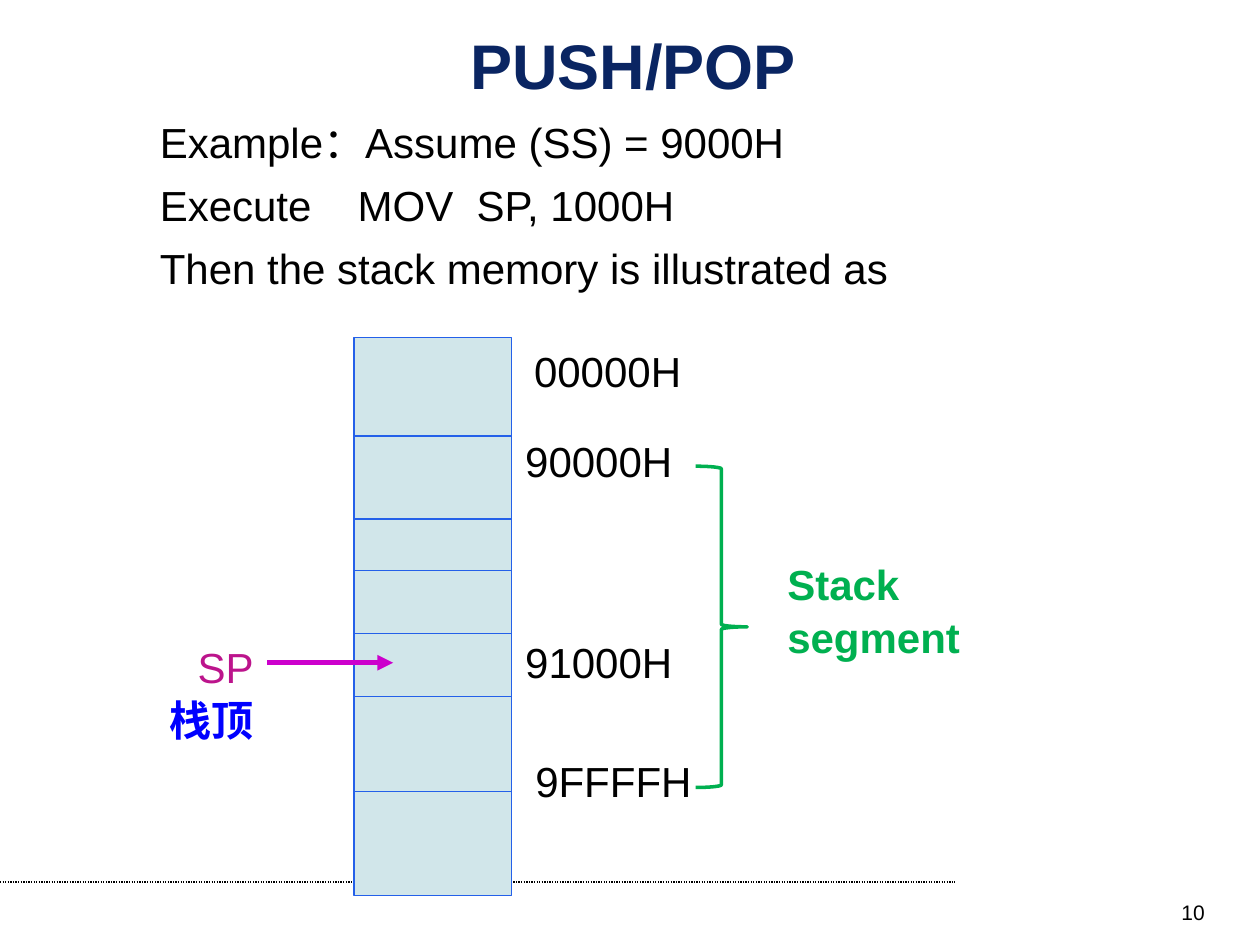
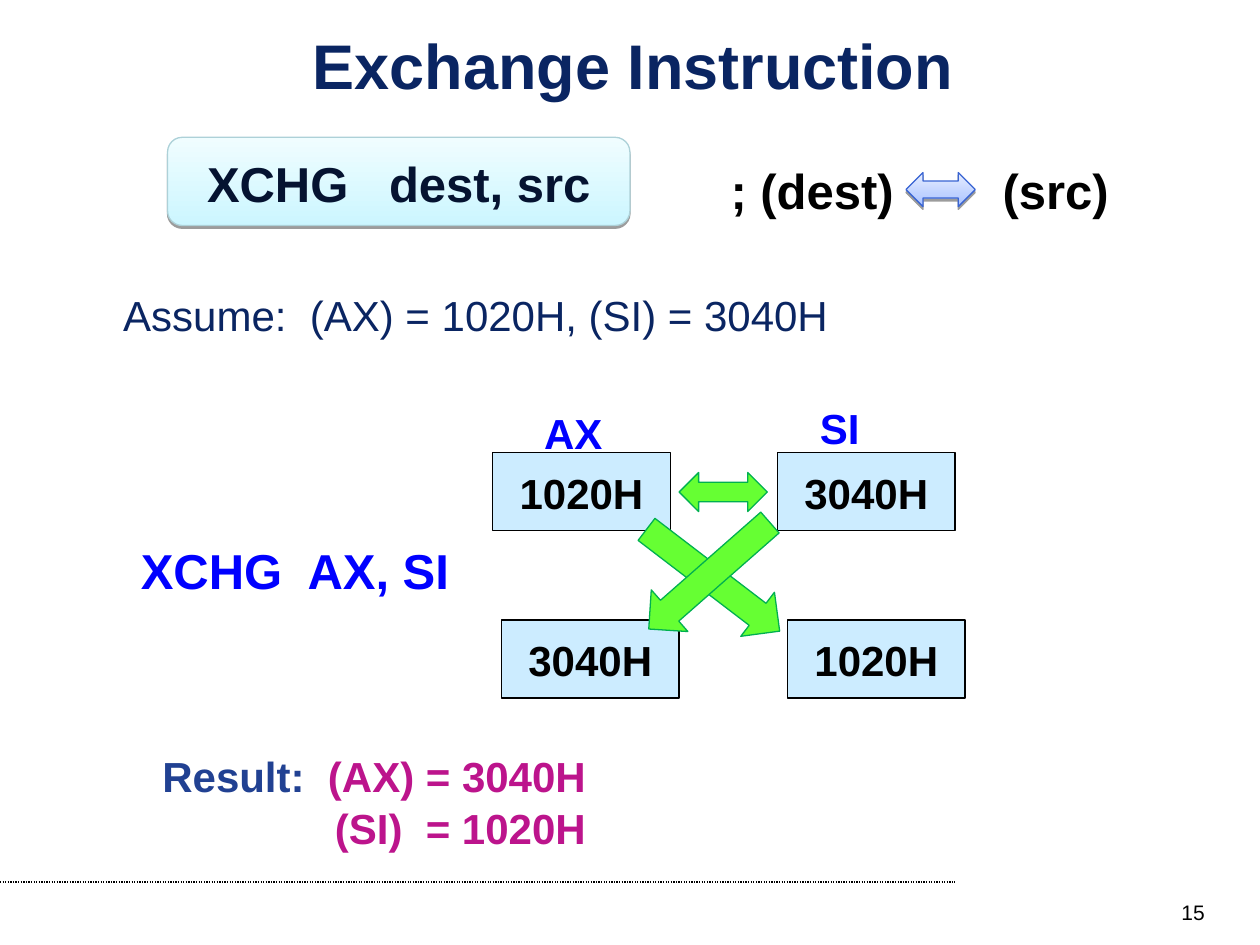
from lxml.etree import SubElement
from pptx import Presentation
from pptx.dml.color import RGBColor
from pptx.enum.dml import MSO_LINE
from pptx.enum.shapes import MSO_CONNECTOR, MSO_SHAPE
from pptx.enum.text import MSO_ANCHOR, PP_ALIGN
from pptx.oxml.ns import qn
from pptx.util import Inches, Pt

BLACK = RGBColor(0x00, 0x00, 0x00)
NAVY = RGBColor(0x0A, 0x25, 0x62)
DEEP_NAVY = RGBColor(0x05, 0x13, 0x31)
ROYAL = RGBColor(0x21, 0x41, 0x92)
BLUE = RGBColor(0x00, 0x00, 0xFF)
MAGENTA = RGBColor(0xBC, 0x14, 0x8C)
POINTER = RGBColor(0xCC, 0x00, 0xCC)
GREEN = RGBColor(0x00, 0xB0, 0x50)
LIME = RGBColor(0x66, 0xFF, 0x33)
MEMORY_FILL = RGBColor(0xD1, 0xE6, 0xEA)
MEMORY_LINE = RGBColor(0x24, 0x60, 0xE9)
REGISTER_FILL = RGBColor(0xCC, 0xEC, 0xFF)
SYNTAX_LINE = RGBColor(0xAD, 0xD1, 0xD8)
SYNTAX_GRADIENT = (RGBColor(0xCC, 0xF6, 0xFF), RGBColor(0xF0, 0xFD, 0xFF))
SWAP_LINE = RGBColor(0x3A, 0x65, 0xD3)
SWAP_GRADIENT = (RGBColor(0xA9, 0xC2, 0xFF), RGBColor(0xE6, 0xED, 0xFF))

BODY = {"name": "Arial", "size": Pt(24), "bold": False}
STRONG = {**BODY, "bold": True}
LARGE = {**STRONG, "size": Pt(28)}
TITLE = {**STRONG, "size": Pt(36)}
PAGE = {**BODY, "size": Pt(12)}

MEMORY = (2.81, 2.68, 1.25, 4.43)
DIVIDERS = [3.46, 4.12, 4.53, 5.03, 5.53, 6.28]
ADDRESSES = [
    ("00000H", 4.14, 2.68),
    ("90000H", 4.07, 3.39),
    ("91000H", 4.07, 4.99),
    ("9FFFFH", 4.15, 5.93),
]
EXAMPLE = [
    [("Example：Assume (SS) = 9000H", BLACK, BODY)],
    [("Execute\tMOV  SP, 1000H", BLACK, BODY)],
    [("Then the stack memory is illustrated as", BLACK, BODY)],
]
STACK_TOP = [[("SP", MAGENTA, BODY)], [("栈顶", BLUE, STRONG)]]
STACK_SEGMENT = [[("Stack", GREEN, STRONG)], [("segment", GREEN, STRONG)]]

REGISTERS = [
    ("1020H", 3.91, 3.59),
    ("1020H", 6.25, 4.92),
    ("3040H", 6.17, 3.59),
    ("3040H", 3.98, 4.92),
]
EXCHANGE_LABELS = [
    ("Assume:  (AX) = 1020H, (SI) = 3040H", (0.88, 2.23, 6.93, 0.5), NAVY, BODY),
    ("AX", (4.22, 3.17, 0.86, 0.5), BLUE, STRONG),
    ("XCHG  AX, SI", (1.02, 4.22, 2.97, 0.57), BLUE, LARGE),
    ("SI", (6.41, 3.13, 0.86, 0.5), BLUE, STRONG),
]
EXCHANGE_ARROWS = [
    (MSO_SHAPE.LEFT_RIGHT_ARROW, (5.39, 3.75, 0.7, 0.31), 0),
    (MSO_SHAPE.DOWN_ARROW, (5.44, 3.94, 0.44, 1.33), 307.4),
    (MSO_SHAPE.DOWN_ARROW, (5.41, 3.93, 0.44, 1.28), 48.7),
]
RESULT = [
    [("Result:  ", ROYAL, STRONG), ("(AX) = 3040H", MAGENTA, STRONG)],
    [("(SI)  = 1020H", MAGENTA, STRONG)],
]


def inches(box):
    return [Inches(length) for length in box]


def apply(target, values):
    for key, value in values.items():
        setattr(target, key, value)


def write(frame, paragraphs, align=PP_ALIGN.LEFT, gap=0, tab=None):
    for index, runs in enumerate(paragraphs):
        paragraph = frame.paragraphs[0] if index == 0 else frame.add_paragraph()
        apply(paragraph, {"alignment": align, "line_spacing": 1.04,
                          "space_before": Pt(gap if index else 0)})
        if tab:
            stops = SubElement(paragraph._p.get_or_add_pPr(), qn("a:tabLst"))
            SubElement(stops, qn("a:tab"), pos=str(Inches(tab)), algn="l")
        for text, color, style in runs:
            run = paragraph.add_run()
            run.text = text
            apply(run.font, style)
            run.font.color.rgb = color


def add_text(slide, box, paragraphs, **layout):
    frame = slide.shapes.add_textbox(*inches(box)).text_frame
    frame.word_wrap = True
    write(frame, paragraphs, **layout)
    return frame


def add_figure(slide, kind, box, fill, outline, weight=0.75, turn=0):
    figure = slide.shapes.add_shape(kind, *inches(box))
    figure.shadow.inherit = False
    figure.rotation = turn
    if fill is None:
        figure.fill.background()
    elif isinstance(fill, RGBColor):
        figure.fill.solid()
        figure.fill.fore_color.rgb = fill
    else:
        figure.fill.gradient()
        figure.fill.gradient_angle = 90
        for stop, color in zip(figure.fill.gradient_stops, fill):
            stop.color.rgb = color
    figure.line.color.rgb = outline
    figure.line.width = Pt(weight)
    return figure


def caption(figure, text, color, style):
    apply(figure.text_frame, {"word_wrap": False, "vertical_anchor": MSO_ANCHOR.MIDDLE})
    write(figure.text_frame, [[(text, color, style)]], align=PP_ALIGN.CENTER)


def drop_shadow(figure):
    effects = figure._element.spPr.find(qn("a:effectLst"))
    shadow = SubElement(effects, qn("a:outerShdw"), blurRad="0", dist=str(Pt(1.6)),
                        dir="5400000", rotWithShape="0")
    tint = SubElement(shadow, qn("a:srgbClr"), val=str(BLACK))
    SubElement(tint, qn("a:alpha"), val="38000")


def add_line(slide, start, end, color, weight=0.75):
    line = slide.shapes.add_connector(MSO_CONNECTOR.STRAIGHT, *inches(start + end))
    SubElement(line._element.spPr, qn("a:effectLst"))
    line.line.color.rgb = color
    line.line.width = Pt(weight)
    return line


def add_slide(deck, title, number):
    slide = deck.slides.add_slide(deck.slide_layouts[5])
    footer_rule = add_line(slide, (0, 7), (7.58, 7), BLACK)
    footer_rule.line.dash_style = MSO_LINE.ROUND_DOT
    heading = slide.shapes.title
    apply(heading, dict(zip(("left", "top", "width", "height"), inches((0.5, 0.25, 9.05, 0.5)))))
    heading.text_frame.vertical_anchor = MSO_ANCHOR.MIDDLE
    write(heading.text_frame, [[(title, NAVY, TITLE)]], align=PP_ALIGN.CENTER)
    add_text(slide, (7.33, 7.08, 2.33, 0.27), [[(number, BLACK, PAGE)]], align=PP_ALIGN.RIGHT)
    return slide


def build_stack(deck):
    slide = add_slide(deck, "PUSH/POP", "10")
    add_text(slide, (1.17, 0.86, 6.87, 1.47), EXAMPLE, gap=6, tab=1.57)
    add_figure(slide, MSO_SHAPE.RECTANGLE, MEMORY, MEMORY_FILL, MEMORY_LINE)
    left, _, width, _ = MEMORY
    for level in DIVIDERS:
        add_line(slide, (left, level), (left + width, level), MEMORY_LINE)
    for address, x, y in ADDRESSES:
        add_text(slide, (x, y, 1.56, 0.5), [[(address, BLACK, BODY)]])
    pointer = add_line(slide, (2.12, 5.26), (3.12, 5.26), POINTER, 3)
    SubElement(pointer.line._get_or_add_ln(), qn("a:tailEnd"), type="triangle")
    add_text(slide, (1.09, 5.03, 1.02, 0.9), STACK_TOP, align=PP_ALIGN.RIGHT)
    brace = add_figure(slide, MSO_SHAPE.RIGHT_BRACE, (5.52, 3.7, 0.41, 2.55), None, GREEN, 2)
    brace.adjustments[0] = 0.05
    add_text(slide, (6.15, 4.37, 1.58, 0.9), STACK_SEGMENT)


def build_exchange(deck):
    slide = add_slide(deck, "Exchange Instruction", "15")
    syntax = add_figure(slide, MSO_SHAPE.ROUNDED_RECTANGLE, (1.33, 1.09, 3.67, 0.7),
                        SYNTAX_GRADIENT, SYNTAX_LINE)
    caption(syntax, "XCHG   dest, src", DEEP_NAVY, LARGE)
    add_text(slide, (5.7, 1.21, 3.67, 0.57), [[("; (dest)\t(src)", BLACK, LARGE)]], tab=2.16)
    swap = add_figure(slide, MSO_SHAPE.LEFT_RIGHT_ARROW, (7.19, 1.37, 0.55, 0.27),
                      SWAP_GRADIENT, SWAP_LINE)
    for raised in (syntax, swap):
        drop_shadow(raised)
    for value, x, y in REGISTERS:
        register = add_figure(slide, MSO_SHAPE.RECTANGLE, (x, y, 1.41, 0.62), REGISTER_FILL, BLACK)
        caption(register, value, BLACK, STRONG)
    for text, box, color, style in EXCHANGE_LABELS:
        add_text(slide, box, [[(text, color, style)]])
    for kind, box, turn in EXCHANGE_ARROWS:
        add_figure(slide, kind, box, LIME, GREEN, turn=turn)
    result = add_text(slide, (1.19, 5.89, 4.74, 0.9), RESULT)
    result.paragraphs[1]._p.get_or_add_pPr().set("marL", str(Inches(1.37)))


def main():
    deck = Presentation()
    deck.slide_width, deck.slide_height = inches((10, 7.5))
    build_stack(deck)
    build_exchange(deck)
    deck.save("out.pptx")


if __name__ == "__main__":
    main()
